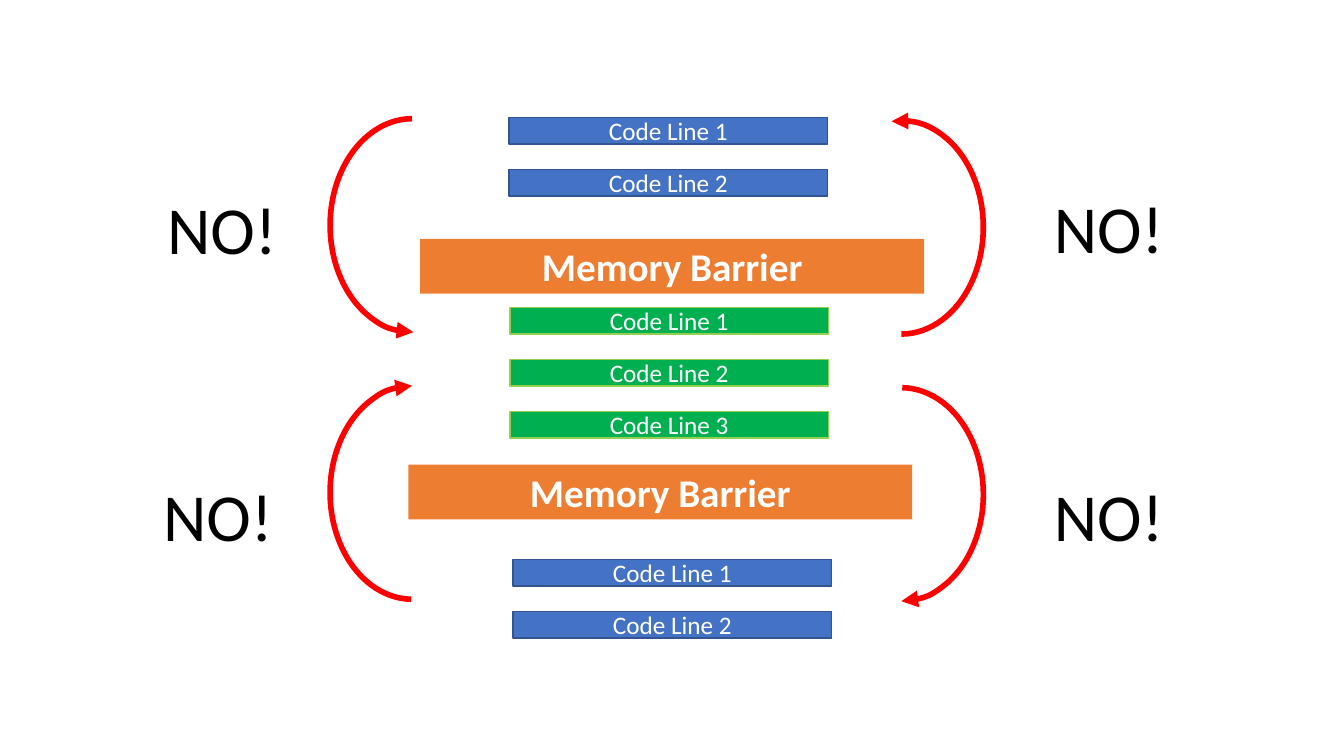
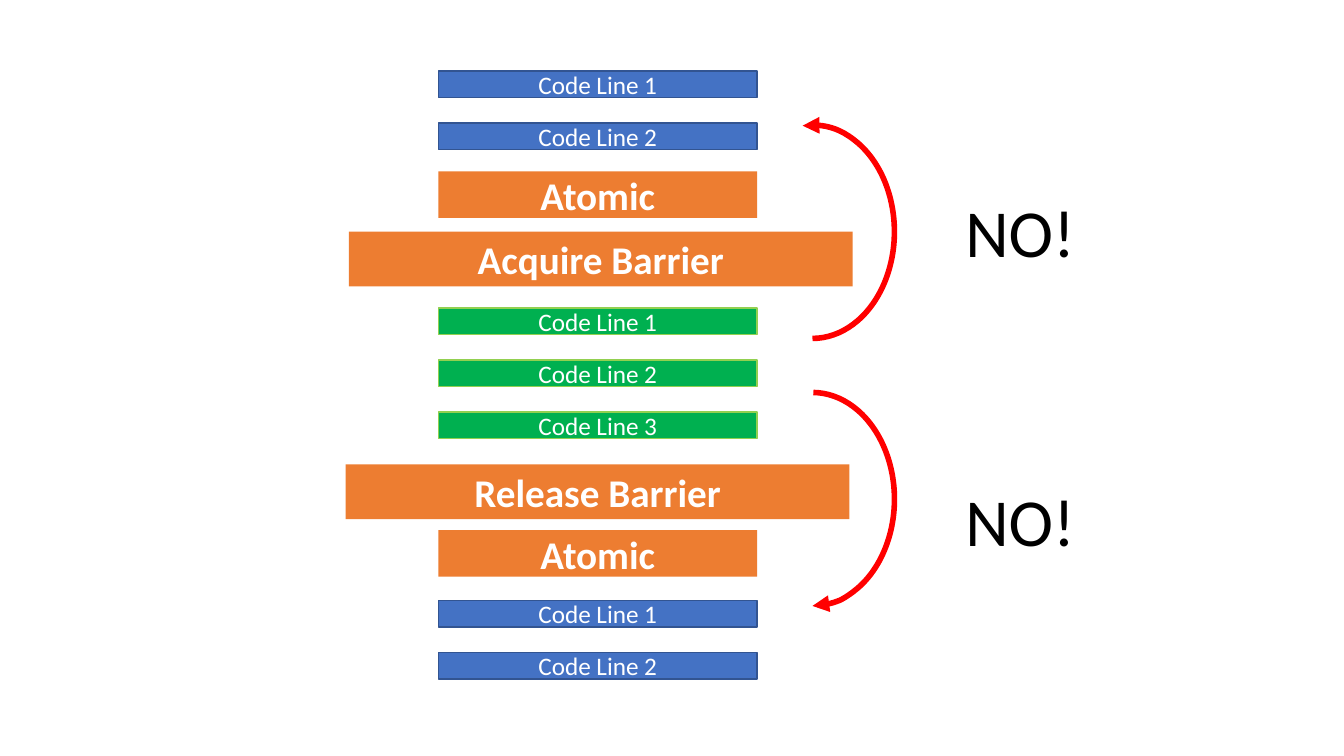
from dataclasses import dataclass

from lxml.etree import SubElement
from pptx import Presentation
from pptx.dml.color import RGBColor as RGB
from pptx.enum.shapes import MSO_SHAPE as SHAPE
from pptx.enum.text import MSO_ANCHOR as ANCHOR, MSO_AUTO_SIZE as AUTO, PP_ALIGN as ALIGN
from pptx.oxml.ns import qn
from pptx.util import Cm, Pt


@dataclass(frozen=True)
class Theme:
    font: str = "Calibri"
    light: RGB = RGB(0xFF, 0xFF, 0xFF)
    dark: RGB = RGB(0, 0, 0)
    barrier: RGB = RGB(0xED, 0x7D, 0x31)
    outside: RGB = RGB(0x44, 0x72, 0xC4)
    outside_edge: RGB = RGB(0x32, 0x54, 0x91)
    guarded: RGB = RGB(0x00, 0xB0, 0x50)
    guarded_edge: RGB = RGB(0x92, 0xD0, 0x50)
    arrow: RGB = RGB(0xFF, 0, 0)
    code_size: int = 18
    barrier_size: int = 28
    verdict_size: int = 48
    edge_width: int = 1
    arrow_width: int = 4


THEME = Theme()
CODE_W, CODE_H, CODE_PITCH = 8.03, 0.67, 1.31
BARRIER_SIZE = (12.7, 1.38)
ATOMIC_SIZE = (CODE_W, 1.17)
ARC_SIZE = (5.38, 4.14)
VERDICT_SIZE = (3.3, 2.31)
ARC_END = 215.94
OUTSIDE = (THEME.outside, THEME.outside_edge)
GUARDED = (THEME.guarded, THEME.guarded_edge)
RIGHT, LEFT = 90, 270

SLIDES = [
    {
        "code": [(2, 12.83, 2.96, OUTSIDE), (3, 12.85, 7.75, GUARDED), (2, 12.93, 14.1, OUTSIDE)],
        "barriers": [
            ("Memory Barrier", 10.59, 6.02, BARRIER_SIZE),
            ("Memory Barrier", 10.29, 11.71, BARRIER_SIZE),
        ],
        "arrows": [
            (20.02, 3.66, RIGHT, 104.88, "headEnd"),
            (20.02, 10.39, RIGHT, 108.35, "tailEnd"),
            (7.7, 3.61, LEFT, 107.64, "headEnd"),
            (7.7, 10.34, LEFT, 108.35, "tailEnd"),
        ],
        "verdicts": [(26.31, 4.57), (26.31, 11.84), (3.96, 4.6), (3.86, 11.84)],
    },
    {
        "code": [(2, 11.05, 1.79, OUTSIDE), (3, 11.05, 7.76, GUARDED), (2, 11.05, 15.13, OUTSIDE)],
        "barriers": [
            ("Atomic", 11.05, 4.32, ATOMIC_SIZE),
            ("Acquire Barrier", 8.79, 5.84, BARRIER_SIZE),
            ("Release Barrier", 8.71, 11.7, BARRIER_SIZE),
            ("Atomic", 11.05, 13.36, ATOMIC_SIZE),
        ],
        "arrows": [
            (17.78, 3.77, RIGHT, 104.88, "headEnd"),
            (17.78, 10.51, RIGHT, 108.35, "tailEnd"),
        ],
        "verdicts": [(24.08, 4.68), (24.08, 11.95)],
    },
]


def box(x, y, size):
    return [Cm(length) for length in (x, y, *size)]


def write(frame, text, size, color, bold=False, align=None):
    paragraph = frame.paragraphs[0]
    paragraph.text = text
    paragraph.alignment = align
    font = paragraph.font
    font.name, font.size, font.bold = THEME.font, Pt(size), bold
    font.color.rgb = color


def add_bar(slide, text, x, y, size, fill, edge, text_size, bold=False):
    bar = slide.shapes.add_shape(SHAPE.RECTANGLE, *box(x, y, size))
    bar.shadow.inherit = False
    bar.fill.solid()
    bar.fill.fore_color.rgb = fill
    if edge is None:
        bar.line.fill.background()
    else:
        bar.line.color.rgb = edge
        bar.line.width = Pt(THEME.edge_width)
    bar.text_frame.vertical_anchor = ANCHOR.MIDDLE
    write(bar.text_frame, text, text_size, THEME.light, bold, ALIGN.CENTER)


def add_arrow(slide, x, y, rotation, start, arrowhead):
    arc = slide.shapes.add_shape(SHAPE.ARC, *box(x, y, ARC_SIZE))
    arc.shadow.inherit = False
    arc.rotation = rotation
    arc.adjustments[0], arc.adjustments[1] = start, ARC_END
    arc.fill.background()
    arc.line.color.rgb = THEME.arrow
    arc.line.width = Pt(THEME.arrow_width)
    outline = arc.element.spPr.find(qn("a:ln"))
    SubElement(outline, qn("a:" + arrowhead), type="triangle")


def add_verdict(slide, x, y):
    frame = slide.shapes.add_textbox(*box(x, y, VERDICT_SIZE)).text_frame
    frame.word_wrap = False
    frame.auto_size = AUTO.SHAPE_TO_FIT_TEXT
    write(frame, "NO!", THEME.verdict_size, THEME.dark)


def build(slide, content):
    for text, x, y, size in content["barriers"]:
        add_bar(slide, text, x, y, size, THEME.barrier, None, THEME.barrier_size, True)
    for count, x, top, (fill, edge) in content["code"]:
        for row in range(count):
            add_bar(slide, f"Code Line {row + 1}", x, top + row * CODE_PITCH,
                    (CODE_W, CODE_H), fill, edge, THEME.code_size)
    for arrow in content["arrows"]:
        add_arrow(slide, *arrow)
    for position in content["verdicts"]:
        add_verdict(slide, *position)


def main():
    deck = Presentation()
    deck.slide_width, deck.slide_height = Cm(33.87), Cm(19.05)
    blank = deck.slide_layouts[6]
    for content in SLIDES:
        build(deck.slides.add_slide(blank), content)
    deck.save("out.pptx")


if __name__ == "__main__":
    main()
